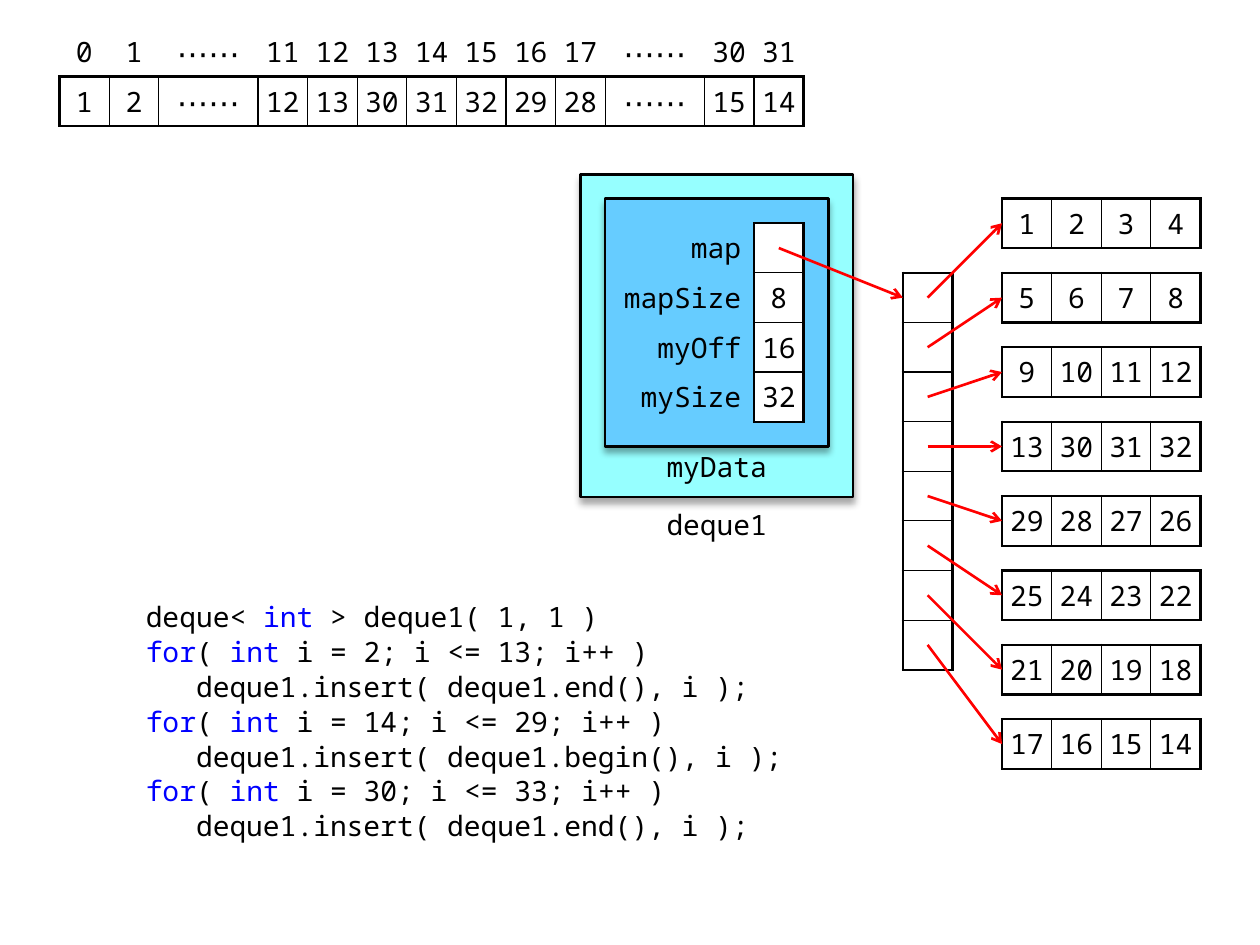
from lxml.etree import SubElement
from pptx import Presentation
from pptx.dml.color import RGBColor
from pptx.enum.shapes import MSO_CONNECTOR, MSO_SHAPE
from pptx.enum.text import MSO_ANCHOR, PP_ALIGN
from pptx.oxml.ns import qn
from pptx.util import Inches, Pt

PX = 7200
CELL = 50
HALF = CELL // 2
BLOCK_GAP = 25
FONT = "Noto Sans Mono"
PLAIN_TABLE = "{2D5ABB26-0587-4C30-8999-92F81FD0307C}"
THICK, THIN = Pt(1.5), Pt(0.75)
BLACK = RGBColor(0, 0, 0)
WHITE = RGBColor(255, 255, 255)
RED = RGBColor(255, 0, 0)
BLUE = RGBColor(0, 0, 255)
CYAN = RGBColor(0x96, 0xFF, 0xFF)
SKY = RGBColor(0x66, 0xCC, 0xFF)

DOTS = "⋯⋯"
SEQUENCE = [
    ["0", "1", DOTS, "11", "12", "13", "14", "15", "16", "17", DOTS, "30", "31"],
    ["1", "2", DOTS, "12", "13", "30", "31", "32", "29", "28", DOTS, "15", "14"],
]
MEMBERS = [["map", ""], ["mapSize", "8"], ["myOff", "16"], ["mySize", "32"]]
BLOCKS = [
    (1, 2, 3, 4), (5, 6, 7, 8), (9, 10, 11, 12), (13, 30, 31, 32),
    (29, 28, 27, 26), (25, 24, 23, 22), (21, 20, 19, 18), (17, 16, 15, 14),
]
CODE = [
    [("deque< ", BLACK), ("int", BLUE), (" > deque1( 1, 1 )", BLACK)],
    [("for", BLUE), ("( ", BLACK), ("int", BLUE), (" i = 2; i <= 13; i++ )", BLACK)],
    [("   deque1.insert( deque1.end(), i );", BLACK)],
    [("for", BLUE), ("( ", BLACK), ("int", BLUE), (" i = 14; i <= 29; i++ )", BLACK)],
    [("   deque1.insert( deque1.begin(), i );", BLACK)],
    [("for", BLUE), ("( ", BLACK), ("int", BLUE), (" i = 30; i <= 33; i++ )", BLACK)],
    [("   deque1.insert( deque1.end(), i );", BLACK)],
]
FRAMES = [((585, 176, 275, 325), CYAN), ((610, 200, 225, 250), SKY)]
CAPTIONS = [("deque1", (635, 501, 175, 50), 5, MSO_ANCHOR.MIDDLE),
            ("myData", (660, 450, 125, 50), 3, MSO_ANCHOR.TOP)]
MEMBER_LEFT, MEMBER_TOP, LABEL_WIDTH = 610, 225, 150
MAP_LEFT, MAP_TOP = 910, 275
BLOCK_LEFT, BLOCK_TOP = 1010, 200


def to_emu(lengths):
    return [length * PX for length in lengths]


def add_span(para, text, color=BLACK, size=16):
    span = para.add_run()
    span.text = text
    span.font.name = FONT
    span.font.size = Pt(size)
    span.font.color.rgb = color


def add_border(cell, side, width):
    line = SubElement(cell._tc.get_or_add_tcPr(), qn(f"a:ln{side}"), w=str(width))
    fill = SubElement(line, qn("a:solidFill"))
    SubElement(fill, qn("a:srgbClr"), val=str(BLACK))


def add_borders(cell, row, column, row_count, column_count, first_row, first_column):
    if row < first_row:
        add_border(cell, "B", THICK)
    elif column < first_column:
        add_border(cell, "R", THICK)
    else:
        edges = [("L", column == first_column), ("R", column == column_count - 1),
                 ("T", row == first_row), ("B", row == row_count - 1)]
        for side, outer in edges:
            add_border(cell, side, THICK if outer else THIN)


def add_grid(page, left, top, rows, widths, first_row=0, first_column=0):
    area = to_emu((left, top, sum(widths), CELL * len(rows)))
    frame = page.shapes.add_table(len(rows), len(widths), *area)
    table = frame.table
    table.first_row = table.horz_banding = False
    next(table._tbl.iter(qn("a:tableStyleId"))).text = PLAIN_TABLE
    for column, width in zip(table.columns, widths):
        column.width = width * PX
    for r, texts in enumerate(rows):
        table.rows[r].height = CELL * PX
        for c, text in enumerate(texts):
            cell = table.cell(r, c)
            label = c < first_column
            cell.margin_left = cell.margin_right = (13 if label else 5) * PX
            cell.margin_top = cell.margin_bottom = 5 * PX
            cell.vertical_anchor = MSO_ANCHOR.MIDDLE
            add_borders(cell, r, c, len(rows), len(widths), first_row, first_column)
            if label or r < first_row:
                cell.fill.background()
            else:
                cell.fill.solid()
                cell.fill.fore_color.rgb = WHITE
            para = cell.text_frame.paragraphs[0]
            para.alignment = PP_ALIGN.RIGHT if label else PP_ALIGN.CENTER
            if text:
                add_span(para, text, size=18 if text == DOTS else 16)


def add_arrow(page, start, end):
    arrow = page.shapes.add_connector(MSO_CONNECTOR.STRAIGHT, *to_emu(start + end))
    arrow.line.color.rgb = RED
    arrow.line.width = THICK
    SubElement(arrow.line._get_or_add_ln(), qn("a:tailEnd"), type="arrow")
    SubElement(arrow._element.spPr, qn("a:effectLst"))


def add_frame(page, area, color):
    shape = page.shapes.add_shape(MSO_SHAPE.FLOWCHART_PROCESS, *to_emu(area))
    shape.fill.solid()
    shape.fill.fore_color.rgb = color
    shape.line.color.rgb = BLACK
    shape.line.width = THICK
    shape.shadow.inherit = False
    effects = shape._element.spPr.find(qn("a:effectLst"))
    shadow = SubElement(effects, qn("a:outerShdw"), blurRad=str(Pt(4)), dist=str(Pt(3)),
                        dir="5400000", rotWithShape="0")
    tone = SubElement(shadow, qn("a:srgbClr"), val=str(BLACK))
    SubElement(tone, qn("a:alpha"), val="35000")


def add_text_frame(page, area, side, top, anchor=MSO_ANCHOR.TOP):
    text_frame = page.shapes.add_textbox(*to_emu(area)).text_frame
    text_frame.word_wrap = True
    text_frame.vertical_anchor = anchor
    text_frame.margin_left = text_frame.margin_right = side * PX
    text_frame.margin_top = top * PX
    text_frame.margin_bottom = 0
    return text_frame


def add_code(page):
    text_frame = add_text_frame(page, (135, 600, 675, 275), 12, 9)
    for index, line in enumerate(CODE):
        para = text_frame.add_paragraph() if index else text_frame.paragraphs[0]
        para.line_spacing = 0.88
        para.space_before = Pt(3 if index else 0)
        for text, color in line:
            add_span(para, text, color)


def main():
    deck = Presentation()
    deck.slide_width, deck.slide_height = Inches(10), Inches(7.5)
    page = deck.slides.add_slide(deck.slide_layouts[6])

    add_code(page)
    widths = [CELL * 2 if text == DOTS else CELL for text in SEQUENCE[0]]
    add_grid(page, 60, 27, SEQUENCE, widths, first_row=1)

    add_grid(page, MAP_LEFT, MAP_TOP, [[""]] * len(BLOCKS), [CELL])
    for index, values in enumerate(BLOCKS):
        top = BLOCK_TOP + index * (CELL + BLOCK_GAP)
        add_grid(page, BLOCK_LEFT, top, [[str(value) for value in values]], [CELL] * len(values))
        slot = (MAP_LEFT + HALF, MAP_TOP + index * CELL + HALF)
        add_arrow(page, slot, (BLOCK_LEFT, top + HALF))

    for area, color in FRAMES:
        add_frame(page, area, color)
    for text, area, top, anchor in CAPTIONS:
        para = add_text_frame(page, area, 10, top, anchor).paragraphs[0]
        para.alignment = PP_ALIGN.CENTER
        add_span(para, text)
    add_grid(page, MEMBER_LEFT, MEMBER_TOP, MEMBERS, [LABEL_WIDTH, CELL], first_column=1)
    pointer = (MEMBER_LEFT + LABEL_WIDTH + HALF, MEMBER_TOP + HALF)
    add_arrow(page, pointer, (MAP_LEFT, MAP_TOP + HALF))
    deck.save("out.pptx")


if __name__ == "__main__":
    main()
